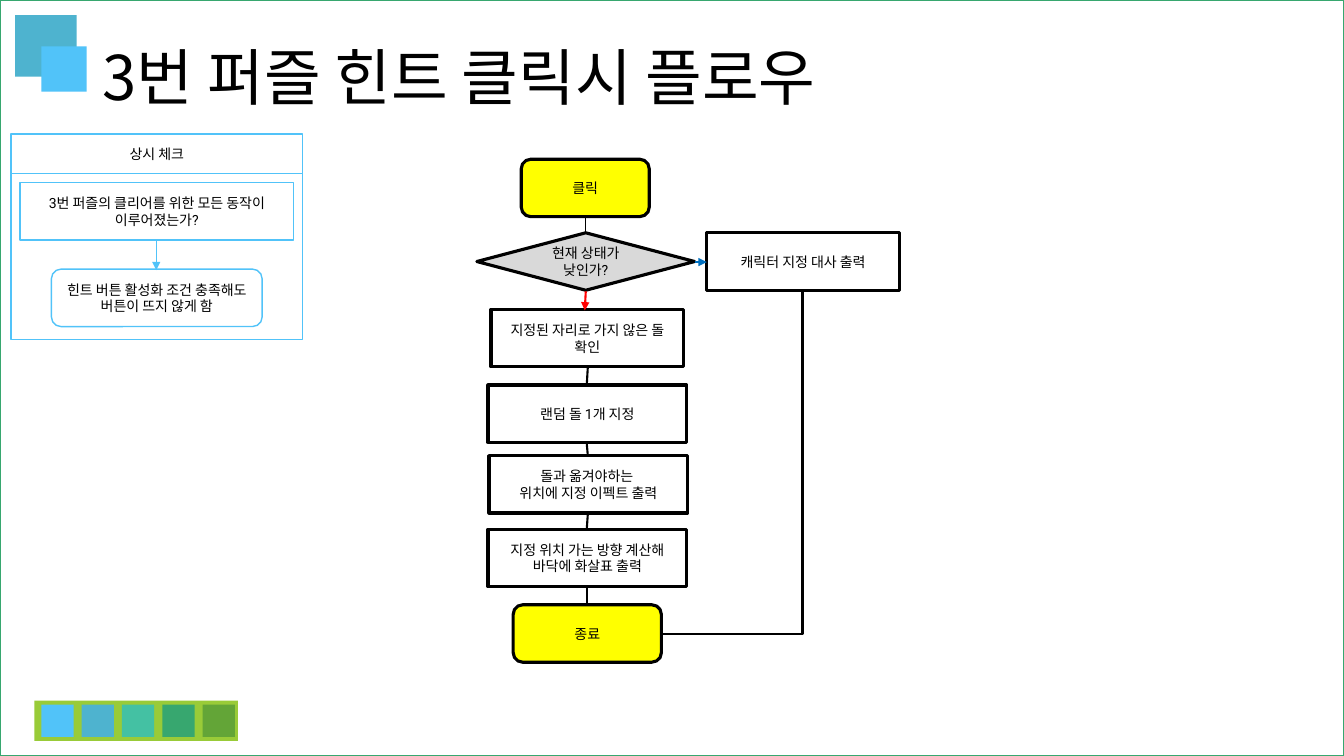
from lxml.etree import SubElement
from pptx import Presentation
from pptx.dml.color import RGBColor
from pptx.enum.shapes import MSO_CONNECTOR, MSO_SHAPE as SHAPE
from pptx.enum.text import MSO_ANCHOR as ANCHOR, PP_ALIGN as ALIGN
from pptx.oxml.ns import qn
from pptx.util import Pt

PX = 9144
KOREAN_FONT = "Noto Sans CJK KR"
BLACK, WHITE, SKY, YELLOW = "000000", "FFFFFF", "51C3F9", "FFFF00"
TEAL, MINT, GREEN, LEAF, LIME = "4EB3CF", "44C1A3", "37A76F", "63A537", "99CB38"


def color(value):
    return RGBColor.from_string(value)


def write(shape, text, size, font, align, line_spacing):
    frame = shape.text_frame
    frame.text = text
    for name, value in {"word_wrap": True, "vertical_anchor": ANCHOR.MIDDLE}.items():
        setattr(frame, name, value)
    for paragraph in frame.paragraphs:
        for name, value in {"alignment": align, "line_spacing": line_spacing}.items():
            setattr(paragraph, name, value)
        for run in paragraph.runs:
            for name, value in {"size": Pt(size), "name": font}.items():
                setattr(run.font, name, value)
            run.font.color.rgb = color(BLACK)
            SubElement(run.font._element, qn("a:ea"), typeface=KOREAN_FONT)


presentation = Presentation()
for name, value in {"slide_width": 1333 * PX, "slide_height": 750 * PX}.items():
    setattr(presentation, name, value)
slide = presentation.slides.add_slide(presentation.slide_layouts[6])

decorations = [
    (0, 0, 1333, 750, None, GREEN),
    (15, 15, 61, 61, TEAL, None),
    (41, 46, 45, 45, SKY, None),
    (34, 695, 202, 40, LIME, None),
]
for index, fill in enumerate([SKY, TEAL, MINT, GREEN, LEAF]):
    decorations.append((41 + 40 * index, 699, 32, 32, fill, None))
blocks = [(SHAPE.RECTANGLE, *decoration, 1, "") for decoration in decorations]

check_boxes = [
    (SHAPE.RECTANGLE, 11, 172, 289, 165, ""),
    (SHAPE.RECTANGLE, 11, 133, 289, 39, "상시 체크"),
    (SHAPE.RECTANGLE, 20, 181, 271, 57, "3번 퍼즐의 클리어를 위한 모든 동작이 이루어졌는가?"),
    (SHAPE.ROUNDED_RECTANGLE, 51, 267, 209, 57, "힌트 버튼 활성화 조건 충족해도 버튼이 뜨지 않게 함"),
]
for kind, left, top, width, height, text in check_boxes:
    blocks.append((kind, left, top, width, height, WHITE, SKY, 1, text))

flow_steps = [
    (SHAPE.ROUNDED_RECTANGLE, 517, 158, 127, YELLOW, "클릭"),
    (SHAPE.FLOWCHART_DECISION, 473, 231, 216, "D9D9D9", "현재 상태가 낮인가?"),
    (SHAPE.RECTANGLE, 701, 231, 191, WHITE, "캐릭터 지정 대사 출력"),
    (SHAPE.RECTANGLE, 487, 307, 191, WHITE, "지정된 자리로 가지 않은 돌 확인"),
    (SHAPE.RECTANGLE, 484, 382, 197, WHITE, "랜덤 돌 1개 지정"),
    (SHAPE.RECTANGLE, 485, 452, 197, WHITE, "돌과 옮겨야하는 \n위치에 지정 이펙트 출력"),
    (SHAPE.RECTANGLE, 484, 525, 197, WHITE, "지정 위치 가는 방향 계산해 바닥에 화살표 출력"),
    (SHAPE.ROUNDED_RECTANGLE, 509, 600, 147, YELLOW, "종료"),
]
for kind, left, top, width, fill, text in flow_steps:
    blocks.append((kind, left, top, width, 57, fill, BLACK, 2.25, text))

for kind, left, top, width, height, fill, outline, weight, text in blocks:
    shape = slide.shapes.add_shape(kind, left * PX, top * PX, width * PX, height * PX)
    shape.shadow.inherit = False
    if fill:
        shape.fill.solid()
        shape.fill.fore_color.rgb = color(fill)
    else:
        shape.fill.background()
    if outline:
        shape.line.color.rgb = color(outline)
        shape.line.width = Pt(weight)
    else:
        shape.line.fill.background()
    if text:
        write(shape, text, 10, "Roboto", ALIGN.CENTER, 1.0)

title = slide.shapes.add_textbox(92 * PX, 40 * PX, 827 * PX, 80 * PX)
write(title, "3번 퍼즐 힌트 클릭시 플로우", 44, KOREAN_FONT, ALIGN.LEFT, 0.9)

STRAIGHT, ELBOW = MSO_CONNECTOR.STRAIGHT, MSO_CONNECTOR.ELBOW
links = [
    (STRAIGHT, 155, 238, 155, 268, SKY, 1, True),
    (STRAIGHT, 581, 215, 581, 230, BLACK, 0.5, False),
    (STRAIGHT, 581, 289, 580, 308, "FF0000", 1.5, True),
    (STRAIGHT, 689, 260, 701, 260, "0070C0", 1.5, True),
    (STRAIGHT, 583, 364, 582, 382, BLACK, 1.5, False),
    (STRAIGHT, 582, 440, 583, 452, BLACK, 1.5, False),
    (STRAIGHT, 583, 510, 582, 525, BLACK, 1.5, False),
    (STRAIGHT, 582, 582, 582, 600, BLACK, 1.5, False),
    (ELBOW, 656, 629, 796, 288, BLACK, 1.5, False),
]
for kind, x1, y1, x2, y2, stroke, weight, arrow in links:
    link = slide.shapes.add_connector(kind, x1 * PX, y1 * PX, x2 * PX, y2 * PX)
    link.line.color.rgb = color(stroke)
    link.line.width = Pt(weight)
    properties = link._element.spPr
    SubElement(properties, qn("a:effectLst"))
    if arrow:
        SubElement(properties.find(qn("a:ln")), qn("a:tailEnd"), type="triangle")
    if kind == ELBOW:
        properties.find(qn("a:prstGeom")).set("prst", "bentConnector2")

presentation.save("out.pptx")
